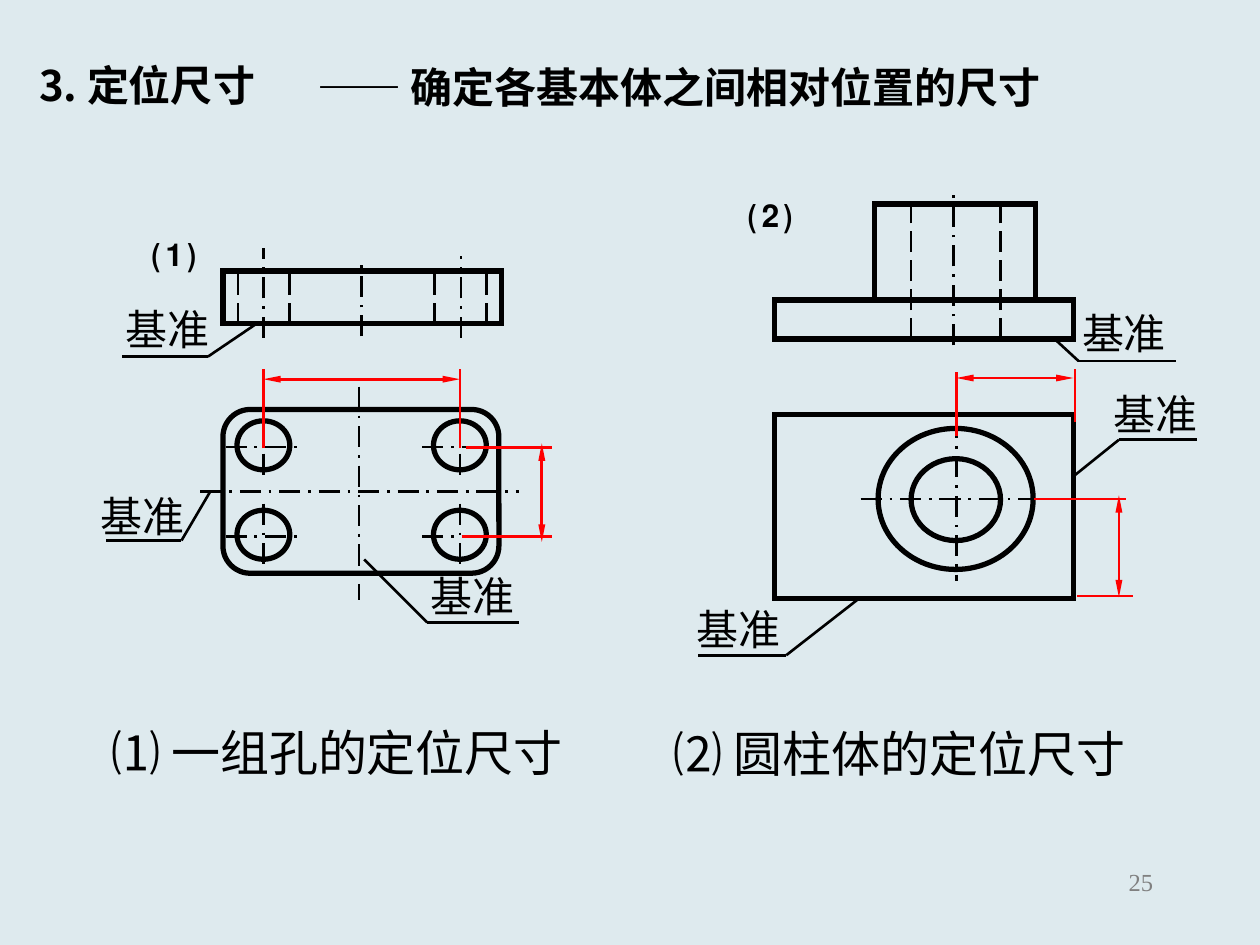
from itertools import pairwise, product

from lxml import etree
from pptx import Presentation
from pptx.dml.color import RGBColor
from pptx.enum.dml import MSO_LINE
from pptx.enum.shapes import MSO_CONNECTOR, MSO_SHAPE
from pptx.enum.text import MSO_ANCHOR, MSO_AUTO_SIZE, PP_ALIGN
from pptx.oxml.ns import qn
from pptx.util import Pt

RECTANGLE, ROUNDED, OVAL = MSO_SHAPE.RECTANGLE, MSO_SHAPE.ROUNDED_RECTANGLE, MSO_SHAPE.OVAL
LEFT, CENTER, RIGHT = PP_ALIGN.LEFT, PP_ALIGN.CENTER, PP_ALIGN.RIGHT
TOP, MIDDLE = MSO_ANCHOR.TOP, MSO_ANCHOR.MIDDLE
AXIS, HIDDEN = MSO_LINE.LONG_DASH_DOT, MSO_LINE.LONG_DASH

THEME = {
    "background": RGBColor(0xDE, 0xEA, 0xEE),
    "ink": RGBColor(0, 0, 0),
    "dimension": RGBColor(0xFF, 0, 0),
    "muted": RGBColor(0x80, 0x80, 0x80),
    "chinese": "Noto Sans CJK SC", "number": "Lato", "roman": "Times New Roman",
    "heading": 24, "caption": 28, "page": 14,
    "outline": 3, "thin": 1.5,
}

TITLE = ("3. 定位尺寸", (15.1, 30.2, 692, 36))
SUBTITLE = [("—— ", "roman"), ("确定各基本体之间相对位置的尺寸", "chinese")]
SUBTITLE_BOX = (174.2, 31.7, 505.4, 36)
CAPTIONS = [
    ("⑴ 一组孔的定位尺寸", (43.9, 409, 297.4, 41), CENTER),
    ("⑵ 圆柱体的定位尺寸", (378, 409.7, 319, 41), LEFT),
]
PAGE_NUMBER = ("25", (516.2, 491.8, 149.8, 36))
DATUM = "基准"
DATUM_SIZE, NUMBER_SIZE = (72, 36), (39, 36)

HOLE_COLUMNS, HOLE_ROWS = (150.5, 262.8), (254.5, 305.6)
HOLE_WIDTH, HOLE_HEIGHT = 30.2, 28
HOLE_AXIS_X, HOLE_AXIS_Y = 21.6, 18.8
AXIS_SHIFT = 1

HOLED_PLATE = {
    "outlines": [
        (ROUNDED, (127.4, 234, 157.7, 93.6)),
        (RECTANGLE, (127.4, 154.8, 159.1, 30.2)),
    ],
    "axes": [
        (114.5, 280.8, 296.6, 280.8), (205.2, 221, 205.2, 342.7),
        (263.5, 193, 263.5, 146.2), (150.5, 193, 150.5, 141.8),
        (206.6, 192.2, 206.6, 147.6),
    ],
    "hidden": [(x, 185, x, 154.8) for x in (136.1, 165.6, 248.4, 277.9)],
    "leaders": [
        [(120.2, 280.8), (103.7, 308.9), (60.5, 308.9)],
        [(208.1, 319.7), (244.1, 355.7), (296.6, 355.7)],
        [(147.6, 184.3), (118.8, 203.8), (69.8, 203.8)],
    ],
    "extensions": [
        (150.5, 256.3, 150.5, 211), (262.8, 256.3, 262.8, 211),
        (266.4, 255.6, 315.4, 255.6), (264.2, 306.7, 315.4, 306.7),
    ],
    "dimensions": [(150.5, 216.7, 262.8, 216.7), (309.6, 253.4, 309.6, 309.6)],
    "datums": [(45.4, 276.5), (234, 322.6), (59.8, 169.9)],
    "number": ("⑴", (79.9, 124.6)),
}
CYLINDER_PLATE = {
    "outlines": [
        (OVAL, (520.6, 262.1, 51.1, 46.8)),
        (OVAL, (501.8, 244.8, 88.6, 80.6)),
        (RECTANGLE, (442.8, 236.9, 170.6, 105.1)),
        (RECTANGLE, (442.8, 171.4, 170.6, 22.3)),
        (RECTANGLE, (499.7, 116.6, 92.2, 55.4)),
    ],
    "axes": [
        (491.8, 285.1, 600.5, 285.1), (546.5, 238.3, 546.5, 331.9),
        (545, 197.3, 545, 109.4),
    ],
    "hidden": [(x, 193.7, x, 115.9) for x in (571.7, 520.6)],
    "leaders": [
        [(613.4, 272.2), (639.4, 251.3), (684, 251.3)],
        [(603.4, 194.4), (616.3, 206.3), (671.8, 206.3)],
        [(491.8, 341.3), (449.3, 374.4), (398.9, 374.4)],
    ],
    "extensions": [
        (546.5, 249.1, 546.5, 212.4), (614.2, 241.2, 614.2, 211),
        (591.1, 285.1, 643.7, 285.1), (615.6, 340.6, 647.3, 340.6),
    ],
    "dimensions": [(546.5, 216, 613.4, 216), (639.4, 283, 639.4, 341.3)],
    "datums": [(606.3, 172.1), (386, 341.3), (624.3, 218.2)],
    "number": ("⑵", (420.5, 102.2)),
}


def points(values):
    return [Pt(value) for value in values]


def fill_text(shape, runs, size, align=LEFT, anchor=TOP, bold=False, color="ink", wrap=True):
    frame = shape.text_frame
    frame.word_wrap = wrap
    frame.auto_size = MSO_AUTO_SIZE.SHAPE_TO_FIT_TEXT
    frame.vertical_anchor = anchor
    paragraph = frame.paragraphs[0]
    paragraph.alignment = align
    for text, font_key in runs:
        run = paragraph.add_run()
        run.text = text
        run.font.size = Pt(THEME[size])
        run.font.bold = bold
        run.font.color.rgb = THEME[color]
        run.font.name = THEME[font_key]
        if font_key != "roman":
            east_asian = etree.SubElement(run.font._element, qn("a:ea"))
            east_asian.set("typeface", THEME[font_key])


def add_text(shapes, box, runs, size, **options):
    fill_text(shapes.add_textbox(*points(box)), runs, size, **options)


def add_outline(shapes, kind, box):
    shape = shapes.add_shape(kind, *points(box))
    shape.shadow.inherit = False
    shape.fill.background()
    shape.line.color.rgb = THEME["ink"]
    shape.line.width = Pt(THEME["outline"])
    etree.SubElement(shape._element.spPr.find(qn("a:ln")), qn("a:miter"), lim="800000")


def add_line(shapes, ends, color="ink", dash=None, arrows=False):
    connector = shapes.add_connector(MSO_CONNECTOR.STRAIGHT, *points(ends))
    line = connector.line
    line.color.rgb = THEME[color]
    line.width = Pt(THEME["thin"])
    if dash:
        line.dash_style = dash
    properties = connector._element.spPr
    if arrows:
        for tag in ("a:headEnd", "a:tailEnd"):
            etree.SubElement(properties.find(qn("a:ln")), qn(tag), type="triangle", w="sm", len="lg")
    etree.SubElement(properties, qn("a:effectLst"))


def add_holes(shapes):
    for x, y in product(HOLE_COLUMNS, HOLE_ROWS):
        add_outline(shapes, OVAL, (x - HOLE_WIDTH / 2, y - HOLE_HEIGHT / 2, HOLE_WIDTH, HOLE_HEIGHT))
        middle = y + AXIS_SHIFT
        add_line(shapes, (x - HOLE_AXIS_X, middle, x + HOLE_AXIS_X, middle), dash=AXIS)
        add_line(shapes, (x, middle - HOLE_AXIS_Y, x, middle + HOLE_AXIS_Y), dash=AXIS)


def add_drawing(shapes, drawing):
    for kind, box in drawing["outlines"]:
        add_outline(shapes, kind, box)
    for key, dash in (("axes", AXIS), ("hidden", HIDDEN)):
        for ends in drawing[key]:
            add_line(shapes, ends, dash=dash)
    for leader in drawing["leaders"]:
        for start, end in pairwise(leader):
            add_line(shapes, start + end)
    for key, arrows in (("extensions", False), ("dimensions", True)):
        for ends in drawing[key]:
            add_line(shapes, ends, color="dimension", arrows=arrows)
    label = {"size": "heading", "align": CENTER, "anchor": MIDDLE, "wrap": False}
    for corner in drawing["datums"]:
        add_text(shapes, corner + DATUM_SIZE, [(DATUM, "chinese")], **label)
    number, corner = drawing["number"]
    add_text(shapes, corner + NUMBER_SIZE, [(number, "number")], bold=True, **label)


def main():
    presentation = Presentation()
    presentation.slide_width, presentation.slide_height = Pt(720), Pt(540)
    slide = presentation.slides.add_slide(presentation.slide_layouts[5])
    slide.background.fill.solid()
    slide.background.fill.fore_color.rgb = THEME["background"]

    title = slide.shapes.title
    text, box = TITLE
    title.left, title.top, title.width, title.height = points(box)
    fill_text(title, [(text, "chinese")], "heading", bold=True)
    add_text(slide.shapes, SUBTITLE_BOX, SUBTITLE, "heading", bold=True)

    plate = slide.shapes.add_group_shape().shapes
    add_holes(plate)
    add_drawing(plate, HOLED_PLATE)
    add_drawing(slide.shapes.add_group_shape().shapes, CYLINDER_PLATE)

    for text, box, align in CAPTIONS:
        add_text(slide.shapes, box, [(text, "chinese")], "caption", align=align, anchor=MIDDLE)
    text, box = PAGE_NUMBER
    add_text(slide.shapes, box, [(text, "roman")], "page", align=RIGHT, color="muted")
    presentation.save("out.pptx")


if __name__ == "__main__":
    main()
